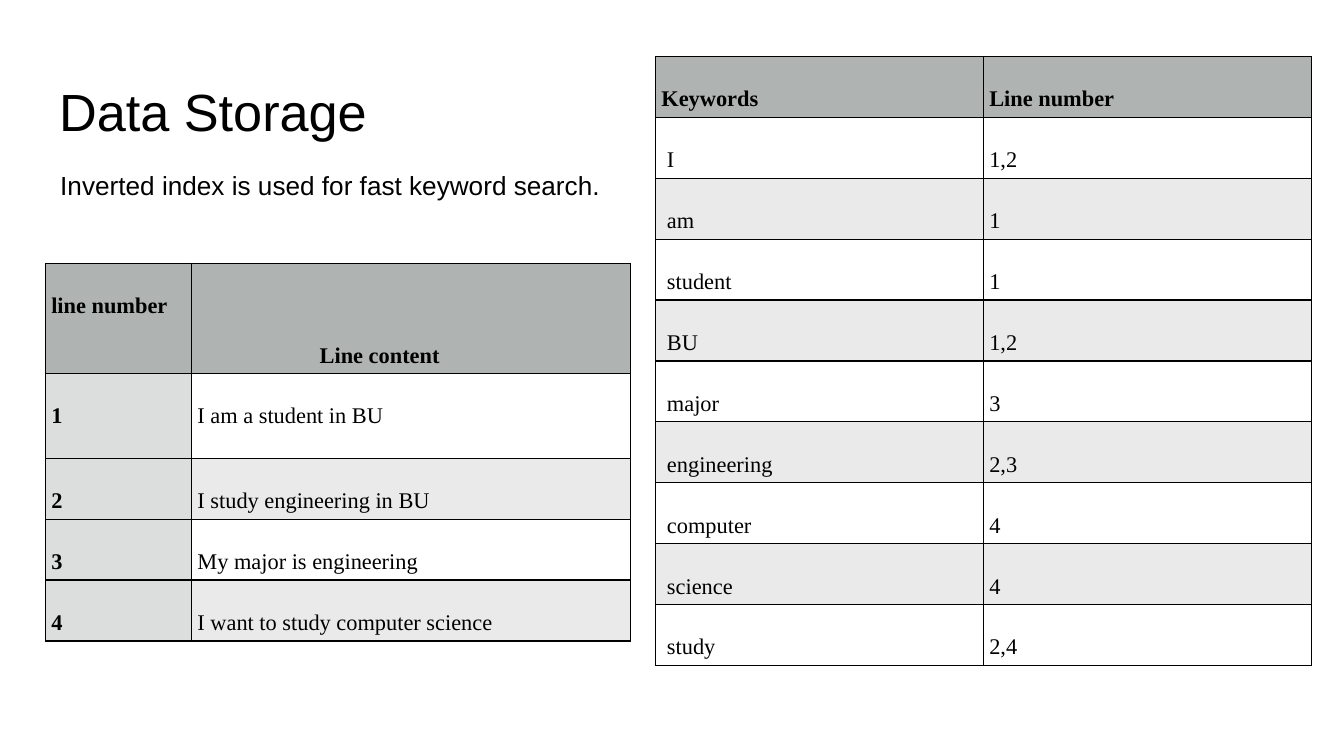
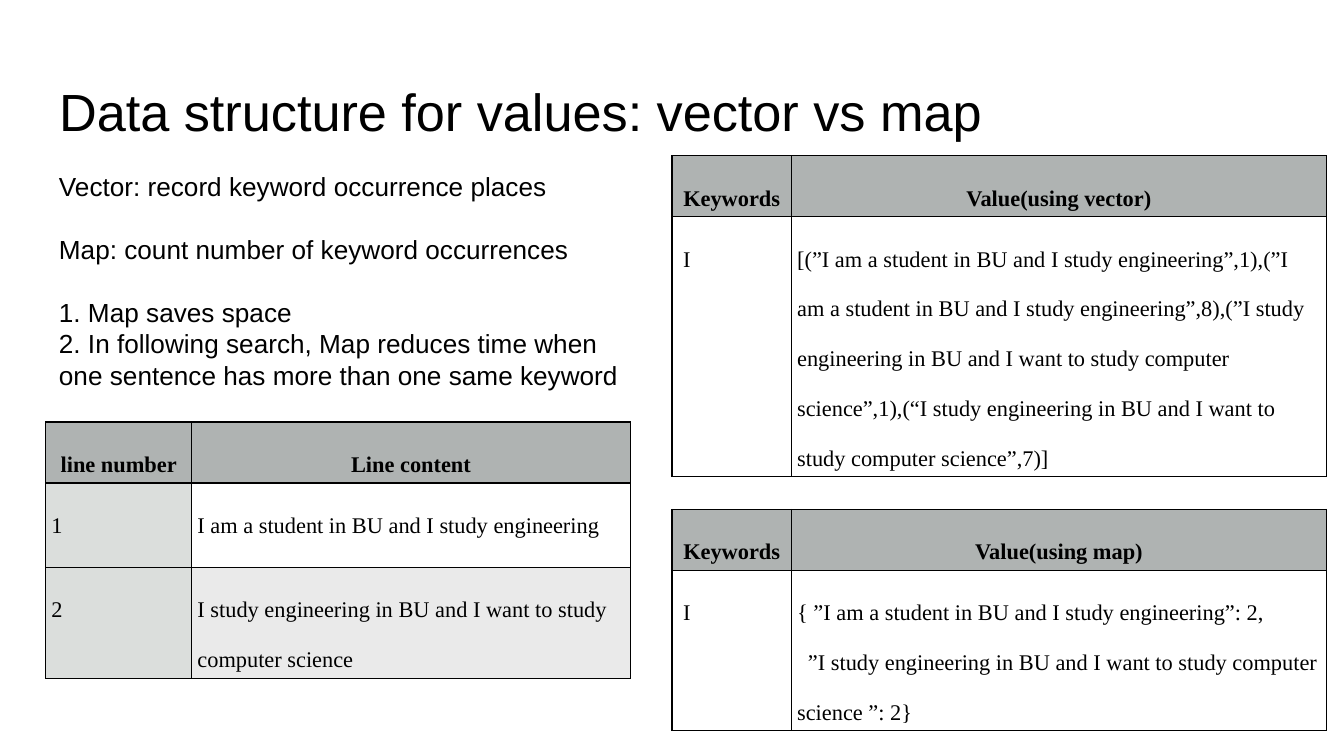
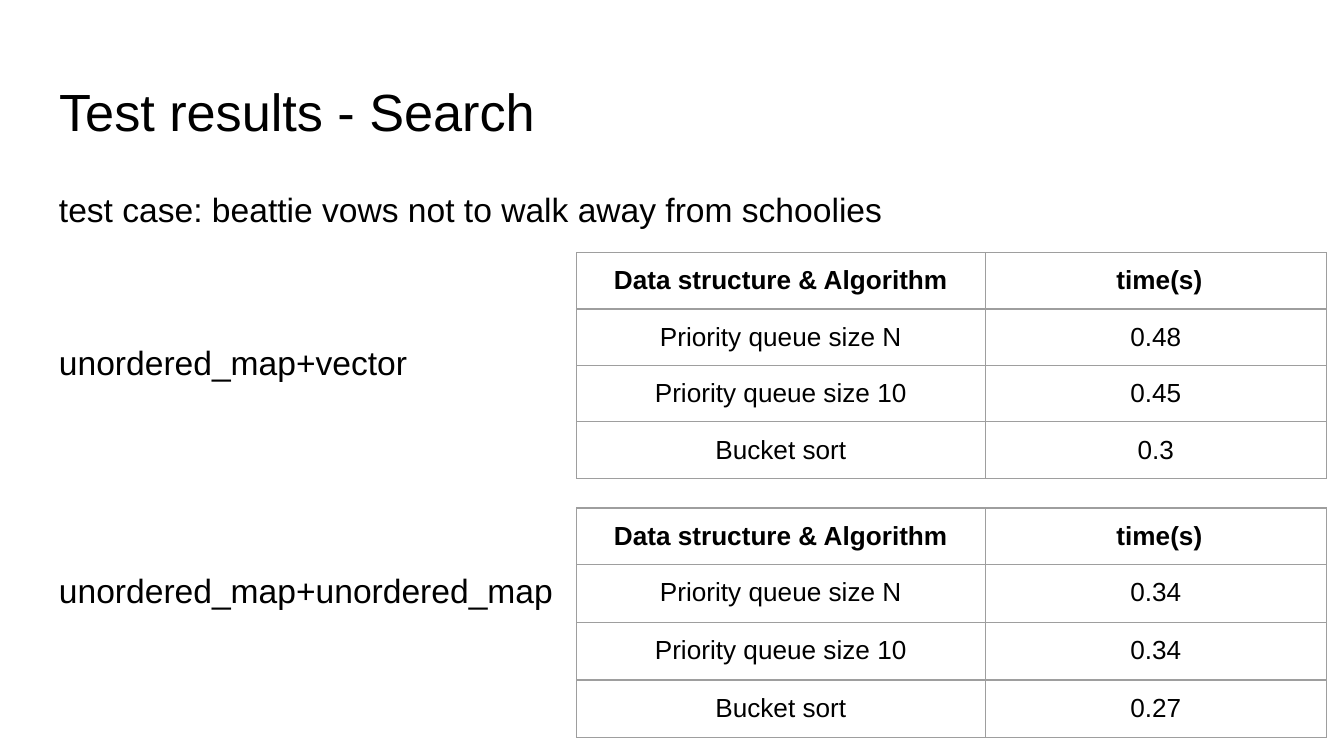
"""Build three slides on inverted-index storage and search timing."""
from dataclasses import dataclass

from lxml import etree
from pptx import Presentation
from pptx.dml.color import RGBColor
from pptx.enum.text import MSO_ANCHOR, MSO_AUTO_SIZE, PP_ALIGN
from pptx.oxml.ns import qn
from pptx.slide import Slide
from pptx.table import _Cell
from pptx.text.text import TextFrame
from pptx.util import Inches, Pt

LEFT, CENTER = PP_ALIGN.LEFT, PP_ALIGN.CENTER
TOP, BOTTOM = MSO_ANCHOR.TOP, MSO_ANCHOR.BOTTOM
NO_AUTOFIT = MSO_AUTO_SIZE.NONE

BLACK = RGBColor(0x00, 0x00, 0x00)
HEADER_GRAY = RGBColor(0xAF, 0xB3, 0xB2)
LABEL_GRAY = RGBColor(0xDB, 0xDE, 0xDC)
BAND_GRAY = RGBColor(0xEA, 0xEA, 0xEA)
RULE_GRAY = RGBColor(0x9E, 0x9E, 0x9E)

SLIDE_WIDTH = Inches(10)
SLIDE_HEIGHT = SLIDE_WIDTH * 9 // 16
MARGIN = 0.34
BODY_INSET = 0.1
INDEX_INSET = 3 / 72
ROW = 0.45
BLANK_LINE = 16.8
TITLE_ONLY = 5


@dataclass(frozen=True)
class Line:
    """One paragraph with its first-line indent in inches and space before in points."""
    text: str
    indent: float = 0
    before: float = 0


@dataclass(frozen=True)
class TextStyle:
    """Look of the text in a box or cell."""
    font: str = "Arial"
    size: float = 14
    bold: bool = False
    align: PP_ALIGN = LEFT
    spacing: float = 1


@dataclass(frozen=True)
class GridStyle:
    """Look of a family of tables."""
    font: str
    size: float
    spacing: float
    inset: float
    rule: RGBColor
    shaded: bool
    body_align: PP_ALIGN


@dataclass(frozen=True)
class Grid:
    """A two-field table; the last field spans all remaining columns."""
    left: float
    top: float
    columns: list[float]
    heights: list[float]
    rows: list[tuple]
    style: GridStyle
    labelled: bool = False
    bold_labels: bool = False
    header_align: PP_ALIGN = CENTER
    header_anchors: tuple = (TOP, TOP)


INDEX_STYLE = GridStyle("Times New Roman", 12, 2, INDEX_INSET, BLACK, True, LEFT)
TIMING_STYLE = GridStyle("Arial", 14, 1, BODY_INSET, RULE_GRAY, False, CENTER)
LINE_COLUMNS = [4.35 / 4] * 4
VALUE_COLUMNS = [0.89, 3.98]


def write(frame: TextFrame, lines: list[Line], style: TextStyle) -> None:
    """Fill a text frame with styled paragraphs."""
    for number, line in enumerate(lines):
        paragraph = frame.paragraphs[0] if number == 0 else frame.add_paragraph()
        paragraph.alignment = style.align
        paragraph.line_spacing = style.spacing
        paragraph.space_before = Pt(line.before)
        properties = paragraph._p.get_or_add_pPr()
        properties.set("marL", "0")
        properties.set("indent", str(int(Inches(line.indent))))
        run = paragraph.add_run()
        run.text = line.text
        run.font.name = style.font
        run.font.size = Pt(style.size)
        run.font.bold = style.bold
        run.font.color.rgb = BLACK


def fill_box(frame: TextFrame, lines: list[Line], style: TextStyle) -> None:
    """Set up a box's frame and write its text."""
    frame.word_wrap = True
    frame.auto_size = NO_AUTOFIT
    frame.vertical_anchor = TOP
    frame.margin_left = frame.margin_right = Inches(BODY_INSET)
    frame.margin_top = frame.margin_bottom = Inches(BODY_INSET)
    write(frame, lines, style)


def add_titled_slide(deck: Presentation, text: str) -> Slide:
    """Add a slide with the shared title style."""
    slide = deck.slides.add_slide(deck.slide_layouts[TITLE_ONLY])
    title = slide.shapes.title
    title.left, title.top = Inches(MARGIN), Inches(0.49)
    title.width, title.height = Inches(9.32), Inches(0.63)
    fill_box(title.text_frame, [Line(text)], TextStyle(size=28))
    return slide


def add_text(slide: Slide, left: float, top: float, width: float, height: float,
             lines: list[Line], style: TextStyle) -> None:
    """Add a text box."""
    box = slide.shapes.add_textbox(Inches(left), Inches(top), Inches(width), Inches(height))
    fill_box(box.text_frame, lines, style)


def add_borders(cell: _Cell, color: RGBColor) -> None:
    """Rule all four sides of a cell."""
    properties = cell._tc.get_or_add_tcPr()
    for side in ("a:lnL", "a:lnR", "a:lnT", "a:lnB"):
        border = etree.SubElement(properties, qn(side), w=str(int(Pt(0.75))))
        solid = etree.SubElement(border, qn("a:solidFill"))
        etree.SubElement(solid, qn("a:srgbClr"), val=str(color))


def shade(cell: _Cell, grid: Grid, row: int, column: int) -> None:
    """Fill a cell by its place in the grid."""
    color = None
    if grid.style.shaded:
        if row == 0:
            color = HEADER_GRAY
        elif grid.labelled and column == 0:
            color = LABEL_GRAY
        elif row % 2 == 0:
            color = BAND_GRAY
    if color is None:
        cell.fill.background()
    else:
        cell.fill.solid()
        cell.fill.fore_color.rgb = color


def add_grid(slide: Slide, grid: Grid) -> None:
    """Draw one table."""
    look = grid.style
    table = slide.shapes.add_table(
        len(grid.rows), len(grid.columns), Inches(grid.left), Inches(grid.top),
        Inches(sum(grid.columns)), Inches(sum(grid.heights))).table
    table.first_row = table.horz_banding = False
    for column, width in enumerate(grid.columns):
        table.columns[column].width = Inches(width)
    for row, (fields, height) in enumerate(zip(grid.rows, grid.heights)):
        table.rows[row].height = Inches(height)
        for column in range(len(grid.columns)):
            cell = table.cell(row, column)
            cell.margin_left = cell.margin_right = Inches(look.inset)
            cell.margin_top = cell.margin_bottom = Inches(look.inset)
            add_borders(cell, look.rule)
            shade(cell, grid, row, column)
        if len(grid.columns) > 2:
            table.cell(row, 1).merge(table.cell(row, len(grid.columns) - 1))
        for column, field in enumerate(fields):
            header = row == 0
            cell = table.cell(row, column)
            cell.vertical_anchor = grid.header_anchors[column] if header else TOP
            lines = [Line(field)] if isinstance(field, str) else field
            write(cell.text_frame, lines, TextStyle(
                look.font, look.size,
                bold=header or (grid.bold_labels and column == 0),
                align=grid.header_align if header else look.body_align,
                spacing=look.spacing))


def build_storage(deck: Presentation) -> None:
    """Slide on the inverted index."""
    slide = add_titled_slide(deck, "Data Storage")
    add_grid(slide, Grid(
        MARGIN, 1.96, LINE_COLUMNS, [0.82, 0.63] + [ROW] * 3,
        [("line number", [Line("Line content", indent=0.91)]),
         ("1", "I am a student in BU"),
         ("2", "I study engineering in BU"),
         ("3", "My major is engineering "),
         ("4", "I want to study computer science ")],
        INDEX_STYLE, labelled=True, bold_labels=True,
        header_align=LEFT, header_anchors=(TOP, BOTTOM)))
    places = {"I ": "1,2", "am": "1", "student": "1", "BU": "1,2", "major": "3",
              "engineering": "2,3", "computer": "4", "science": "4", "study": "2,4"}
    add_grid(slide, Grid(
        4.88, 0.42, [2.44] * 2, [ROW] * (len(places) + 1),
        [("Keywords", "Line number ")]
        + [(f" {word}", numbers) for word, numbers in places.items()],
        INDEX_STYLE, header_align=LEFT))
    add_text(slide, 0.35, 1.16, 4.34, 0.5,
             [Line("Inverted index is used for fast keyword search.")], TextStyle())


def build_structures(deck: Presentation) -> None:
    """Slide comparing vector and map values."""
    slide = add_titled_slide(deck, "Data structure for values: vector vs map")
    first = "I am a student in BU and I study engineering"
    second = "I study engineering in BU and I want to study computer science"
    add_grid(slide, Grid(
        MARGIN, 3.14, LINE_COLUMNS, [ROW, 0.63, 0.82],
        [("line number", "Line content"), ("1", first), ("2", f"{second} ")],
        INDEX_STYLE, labelled=True))
    vector = [Line(f"[(”{first}”,1),(”{first}”,8),(”{second}”,1),(“{second}”,7)]")]
    counts = [Line(f"{{ ”{first}”: 2,"),
              Line(f"”{second} ”: 2}}", indent=0.08)]
    for top, kind, value, height in ((1.16, "vector", vector, 1.93),
                                     (3.79, "map", counts, 1.19)):
        add_grid(slide, Grid(
            5, top, VALUE_COLUMNS, [ROW, height],
            [("Keywords", f"Value(using {kind})"), (" I ", value)],
            INDEX_STYLE))
    add_text(slide, MARGIN, 1.17, 4.55, 1.65, [
        Line("Vector: record keyword occurrence places"),
        Line("Map: count number of keyword occurrences", before=BLANK_LINE),
        Line("1. Map saves space", before=BLANK_LINE),
        Line("2. In following search, Map reduces time when one sentence has "
             "more than one same keyword")], TextStyle())


def build_results(deck: Presentation) -> None:
    """Slide with search timings."""
    slide = add_titled_slide(deck, "Test results - Search")
    add_text(slide, MARGIN, 1.26, 9.32, 3.74, [
        Line("test case: beattie vows not to walk away from schoolies"),
        Line("unordered_map+vector", before=57),
        Line("unordered_map+unordered_map", before=97.5)],
        TextStyle(size=18, spacing=1.15))
    methods = ("Priority queue size N", "Priority queue size 10", "Bucket sort")
    for top, height, times in ((1.88, 0.42, ("0.48", "0.45", "0.3")),
                               (3.78, 0.43, ("0.34", "0.34", "0.27"))):
        add_grid(slide, Grid(
            4.29, top, [3.04, 2.54], [0.42] + [height] * len(methods),
            [("Data structure & Algorithm", " time(s)"), *zip(methods, times)],
            TIMING_STYLE))


def main() -> None:
    """Build and save the deck."""
    deck = Presentation()
    deck.slide_width, deck.slide_height = SLIDE_WIDTH, SLIDE_HEIGHT
    build_storage(deck)
    build_structures(deck)
    build_results(deck)
    deck.save("out.pptx")


main()
